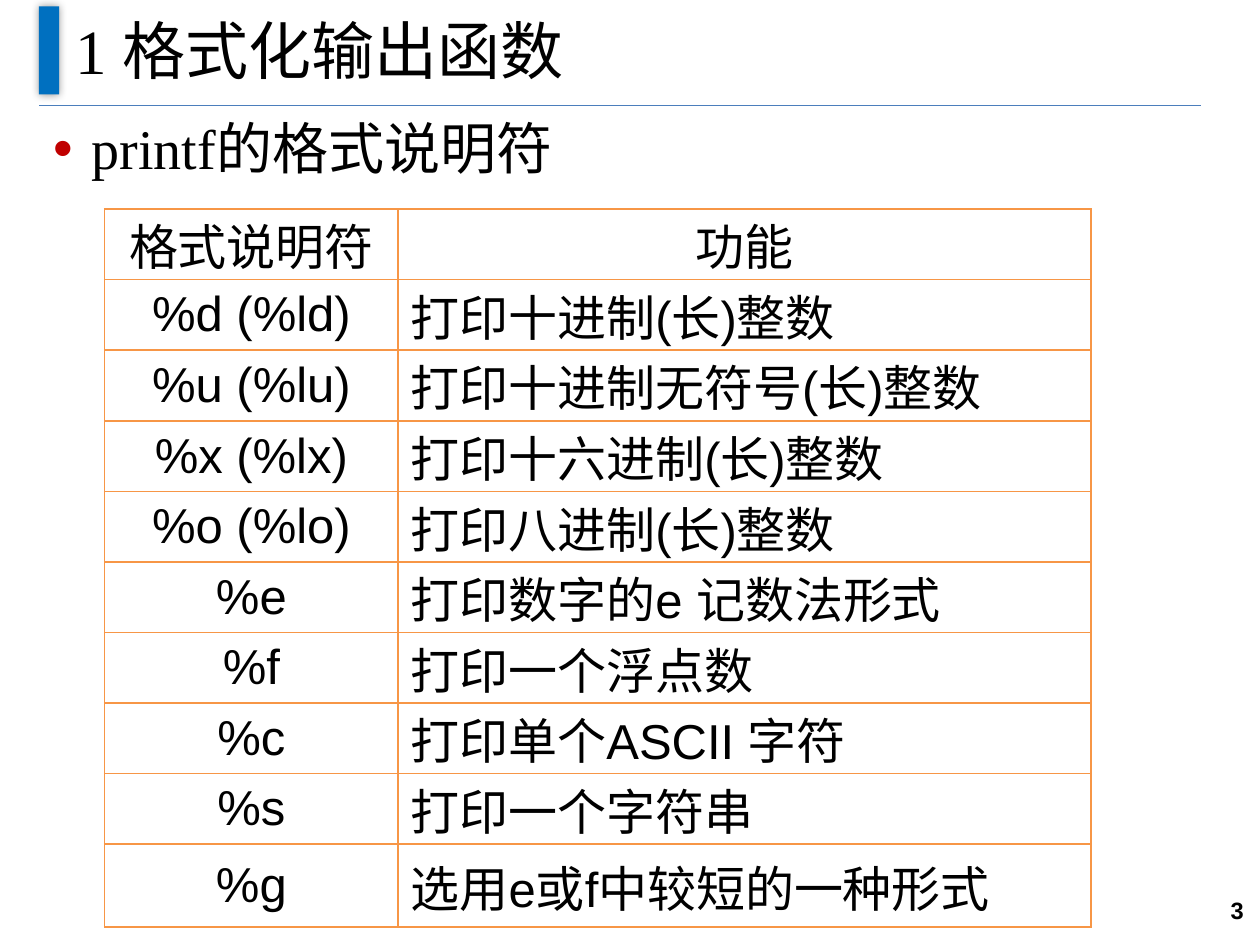
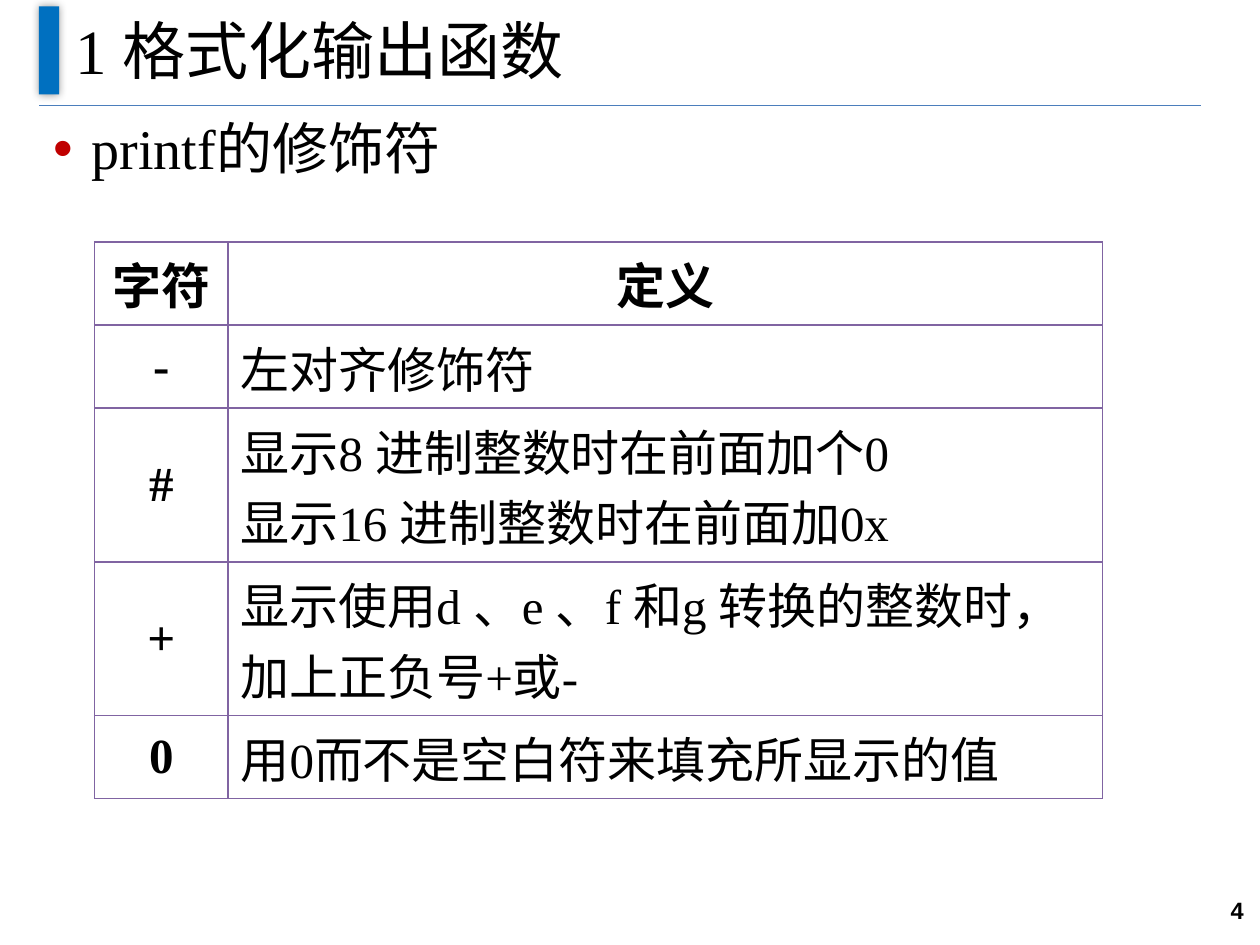
"""Build two slides on the format specifiers and modifiers of printf."""
from dataclasses import dataclass

import pptx
import pptx.dml.color
import pptx.enum.shapes
import pptx.enum.text
import pptx.oxml
import pptx.oxml.ns
import pptx.util
from pptx.util import Inches

COLORS = {
    "text": "000000",
    "bar": "0070C0",
    "rule": "4B7EBC",
    "bullet": "C00000",
    "orange": "F79646",
    "purple": "8064A2",
}
SANS, SERIF = "Arial", "Times New Roman"
TITLE = "1 格式化输出函数"
ALIGN = pptx.enum.text.PP_ALIGN
MIDDLE = pptx.enum.text.MSO_ANCHOR.MIDDLE
NAMESPACE = pptx.oxml.ns.nsdecls("a")


@dataclass
class Row:
    """One table row: a centred key, its meaning, and the row's size."""
    key: str
    meaning: str
    height: float
    margin: float = 0.05


@dataclass
class Grid:
    """A two-column table with a header row."""
    left: float
    top: float
    widths: tuple[float, float]
    border: str
    font: str
    bold_keys: bool
    rows: list[Row]


@dataclass
class Topic:
    """The contents of one slide."""
    number: int
    heading: str
    grid: Grid


SPECIFIERS = [
    ("格式说明符", "功能"),
    ("%d (%ld)", "打印十进制(长)整数"),
    ("%u (%lu)", "打印十进制无符号(长)整数"),
    ("%x (%lx)", "打印十六进制(长)整数"),
    ("%o (%lo)", "打印八进制(长)整数"),
    ("%e", "打印数字的e 记数法形式"),
    ("%f", "打印一个浮点数"),
    ("%c", "打印单个ASCII 字符"),
    ("%s", "打印一个字符串"),
]
MODIFIERS = [
    Row("字符", "定义", 0.66),
    Row("-", "左对齐修饰符", 0.66),
    Row("#", "显示8 进制整数时在前面加个0\n显示16 进制整数时在前面加0x", 1.22),
    Row("+", "显示使用d 、e 、f 和g 转换的整数时，加上正负号+或-", 1.22),
    Row("0", "用0而不是空白符来填充所显示的值", 0.66),
]
TOPICS = [
    Topic(3, "printf的格式说明符", Grid(
        0.83, 1.66, (2.33, 5.5), "orange", SANS, False,
        [Row(key, meaning, 0.56, 0) for key, meaning in SPECIFIERS]
        + [Row("%g", "选用e或f中较短的一种形式", 0.66)])),
    Topic(4, "printf的修饰符", Grid(
        0.75, 1.92, (1.06, 6.94), "purple", SERIF, True, MODIFIERS)),
]


def rgb(name: str) -> pptx.dml.color.RGBColor:
    """Return a named colour."""
    return pptx.dml.color.RGBColor.from_string(COLORS[name])


def write(frame, text: str, *, size: float, font: str, bold: bool = False,
          align=ALIGN.LEFT, anchor=MIDDLE):
    """Fill a text frame with one formatted paragraph and return it."""
    frame.word_wrap = True
    frame.vertical_anchor = anchor
    para = frame.paragraphs[0]
    para.text = text
    para.alignment = align
    for span in para.runs:
        span.font.size = pptx.util.Pt(size)
        span.font.name = font
        span.font.bold = bold
        span.font.color.rgb = rgb("text")
    return para


def add_bullet(para) -> None:
    """Give a paragraph a hanging coloured bullet."""
    properties = para._p.get_or_add_pPr()
    properties.set("marL", str(Inches(0.3)))
    properties.set("indent", str(Inches(-0.3)))
    for xml in (
        f'<a:buClr {NAMESPACE}><a:srgbClr val="{COLORS["bullet"]}"/></a:buClr>',
        f'<a:buFont {NAMESPACE} typeface="Arial"/>',
        f'<a:buChar {NAMESPACE} char="•"/>',
    ):
        properties.append(pptx.oxml.parse_xml(xml))


def draw_frame(page, topic: Topic) -> None:
    """Draw the header rule, bar, title and slide number."""
    rule = page.shapes.add_connector(
        pptx.enum.shapes.MSO_CONNECTOR.STRAIGHT,
        Inches(0.31), Inches(0.84), Inches(9.53), Inches(0.84))
    rule.line.color.rgb = rgb("rule")
    rule.line.width = pptx.util.Pt(0.75)
    rule._element.spPr.append(pptx.oxml.parse_xml(f"<a:effectLst {NAMESPACE}/>"))

    bar = page.shapes.add_shape(
        pptx.enum.shapes.MSO_SHAPE.RECTANGLE,
        Inches(0.31), Inches(0.05), Inches(0.16), Inches(0.7))
    bar.fill.solid()
    bar.fill.fore_color.rgb = rgb("bar")
    bar.line.fill.background()
    bar._element.spPr.append(pptx.oxml.parse_xml(
        f'<a:effectLst {NAMESPACE}><a:outerShdw blurRad="{pptx.util.Pt(5)}" dist="0">'
        f'<a:srgbClr val="{COLORS["text"]}"><a:alpha val="40000"/></a:srgbClr>'
        '</a:outerShdw></a:effectLst>'))

    title = page.shapes.title
    title.left, title.top = Inches(0.5), Inches(-0.03)
    title.width, title.height = Inches(9), Inches(0.84)
    write(title.text_frame, TITLE, size=36, font=SERIF)

    box = page.shapes.add_textbox(
        Inches(9.04), Inches(6.95), Inches(0.93), Inches(0.55))
    write(box.text_frame, str(topic.number), size=13.5, font=SANS, bold=True,
          align=ALIGN.RIGHT)


def draw_heading(page, text: str) -> None:
    """Draw the bulleted heading above the table."""
    box = page.shapes.add_textbox(
        Inches(0.33), Inches(0.91), Inches(9.18), Inches(0.7))
    para = write(box.text_frame, text, size=32, font=SERIF, align=ALIGN.JUSTIFY,
                 anchor=pptx.enum.text.MSO_ANCHOR.TOP)
    para.line_spacing = 0.9
    para.space_after = pptx.util.Pt(4.5)
    add_bullet(para)


def outline_cell(cell, color: str) -> None:
    """Clear a cell's fill and draw its four borders."""
    cell.fill.background()
    properties = cell._tc.get_or_add_tcPr()
    for index, side in enumerate("LRTB"):
        properties.insert(index, pptx.oxml.parse_xml(
            f'<a:ln{side} {NAMESPACE} w="{pptx.util.Pt(1)}"><a:solidFill>'
            f'<a:srgbClr val="{COLORS[color]}"/></a:solidFill></a:ln{side}>'))


def draw_grid(page, grid: Grid) -> None:
    """Draw a two-column table."""
    table = page.shapes.add_table(
        len(grid.rows), 2, Inches(grid.left), Inches(grid.top),
        Inches(sum(grid.widths)), Inches(sum(row.height for row in grid.rows))).table
    table.first_row = table.horz_banding = False
    for column, width in zip(table.columns, grid.widths):
        column.width = Inches(width)
    for row_index, row in enumerate(grid.rows):
        table.rows[row_index].height = Inches(row.height)
        for column_index, text in enumerate((row.key, row.meaning)):
            cell = table.cell(row_index, column_index)
            emphasis = row_index == 0 or column_index == 0
            cell.margin_top = cell.margin_bottom = Inches(row.margin)
            write(cell.text_frame, text, size=28, font=grid.font,
                  bold=grid.bold_keys and emphasis,
                  align=ALIGN.CENTER if emphasis else ALIGN.LEFT)
            cell.vertical_anchor = MIDDLE
            outline_cell(cell, grid.border)


def main() -> None:
    """Build and save the deck."""
    deck = pptx.Presentation()
    deck.slide_width, deck.slide_height = Inches(10), Inches(7.5)
    for topic in TOPICS:
        page = deck.slides.add_slide(deck.slide_layouts.get_by_name("Title Only"))
        draw_frame(page, topic)
        draw_heading(page, topic.heading)
        draw_grid(page, topic.grid)
    deck.save("out.pptx")


if __name__ == "__main__":
    main()
